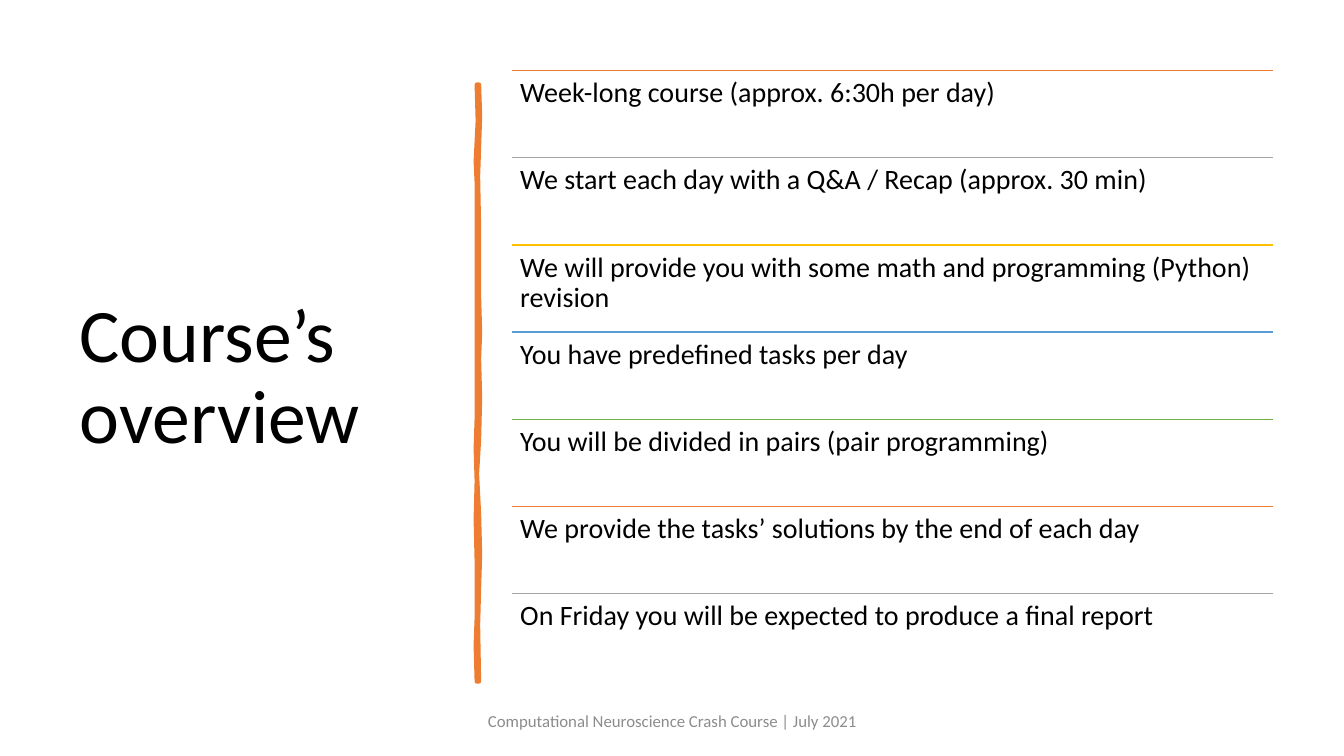
from dataclasses import dataclass

from lxml import etree
from pptx import Presentation
from pptx.dml.color import RGBColor
from pptx.enum.shapes import MSO_CONNECTOR
from pptx.enum.text import MSO_ANCHOR, PP_ALIGN
from pptx.oxml.ns import qn
from pptx.slide import Slide
from pptx.text.text import TextFrame
from pptx.util import Inches, Pt

STRAIGHT = MSO_CONNECTOR.STRAIGHT
MIDDLE, TOP = MSO_ANCHOR.MIDDLE, MSO_ANCHOR.TOP
LEFT, CENTER = PP_ALIGN.LEFT, PP_ALIGN.CENTER

COLORS = {
    "text": "000000",
    "footer": "8C8C8C",
    "orange": "ED7D31",
    "gray": "A5A5A5",
    "gold": "FFC000",
    "blue": "5B9BD5",
    "green": "70AD47",
}
FONT = "Calibri"
ROW_LEFT, ROW_TOP, ROW_WIDTH, ROW_HEIGHT = 5.08, 0.7, 7.55, 0.86
ROW_PITCH = 0.865
ROW_INSET = 0.08
STROKE_RIGHT = [
    (4.75, 0.84), (4.76, 1.15), (4.75, 1.46), (4.74, 1.75), (4.75, 2.26), (4.75, 2.94),
    (4.76, 3.3), (4.75, 3.56), (4.76, 3.95), (4.75, 4.36), (4.73, 4.7), (4.75, 5.1),
    (4.76, 5.5), (4.75, 5.84), (4.74, 6.2), (4.75, 6.76),
]
STROKE_LEFT = [
    (4.73, 6.76), (4.72, 6.4), (4.73, 6.13), (4.73, 5.57), (4.72, 5.15), (4.73, 4.77),
    (4.72, 4.45), (4.73, 4.15), (4.73, 3.35), (4.73, 2.5), (4.73, 2.15), (4.73, 1.81),
    (4.72, 1.6), (4.74, 1.2), (4.73, 0.84),
]


@dataclass(frozen=True)
class OverviewRow:
    """One statement of the overview and the colour of its rule."""

    statement: str
    color: str


ROWS = [
    OverviewRow("Week-long course (approx. 6:30h per day)", "orange"),
    OverviewRow("We start each day with a Q&A / Recap (approx. 30 min)", "gray"),
    OverviewRow("We will provide you with some math and programming (Python) revision", "gold"),
    OverviewRow("You have predefined tasks per day", "blue"),
    OverviewRow("You will be divided in pairs (pair programming)", "green"),
    OverviewRow("We provide the tasks’ solutions by the end of each day", "orange"),
    OverviewRow("On Friday you will be expected to produce a final report", "gray"),
]


def rgb(name: str) -> RGBColor:
    """Return the named colour."""
    return RGBColor.from_string(COLORS[name])


def write(frame: TextFrame, text: str, size: float, color: str = "text",
          anchor: MSO_ANCHOR = MIDDLE, align: PP_ALIGN = LEFT, spacing: float = 0.9) -> None:
    """Fill a text frame with one formatted paragraph."""
    frame.word_wrap = True
    frame.vertical_anchor = anchor
    paragraph = frame.paragraphs[0]
    paragraph.text = text
    paragraph.alignment = align
    paragraph.line_spacing = spacing
    paragraph.font.name = FONT
    paragraph.font.size = Pt(size)
    paragraph.font.color.rgb = rgb(color)


def add_title(slide: Slide) -> None:
    """Place and format the slide title."""
    title = slide.shapes.title
    title.left, title.top = Inches(0.69), Inches(0.7)
    title.width, title.height = Inches(3.74), Inches(6.11)
    write(title.text_frame, "Course’s overview", 54)


def add_brush_stroke(slide: Slide) -> None:
    """Draw the uneven vertical stroke beside the title."""
    start, *outline = [(Inches(x), Inches(y)) for x, y in STROKE_RIGHT + STROKE_LEFT]
    builder = slide.shapes.build_freeform(*start)
    builder.add_line_segments(outline, close=True)
    stroke = builder.convert_to_shape()
    stroke.shadow.inherit = False
    stroke.fill.solid()
    stroke.fill.fore_color.rgb = rgb("orange")
    stroke.line.color.rgb = rgb("orange")
    stroke.line.width = Pt(3.25)


def add_row(slide: Slide, row: OverviewRow, top: float) -> None:
    """Draw a coloured rule with its statement below."""
    rule = slide.shapes.add_connector(
        STRAIGHT, Inches(ROW_LEFT), Inches(top), Inches(ROW_LEFT + ROW_WIDTH), Inches(top))
    rule.line.color.rgb = rgb(row.color)
    rule.line.width = Pt(1)
    etree.SubElement(rule._element.spPr, qn("a:effectLst"))
    statement = slide.shapes.add_textbox(
        Inches(ROW_LEFT), Inches(top), Inches(ROW_WIDTH), Inches(ROW_HEIGHT))
    frame = statement.text_frame
    frame.margin_left = frame.margin_right = Inches(ROW_INSET)
    frame.margin_top = frame.margin_bottom = Inches(ROW_INSET)
    write(frame, row.statement, 20, anchor=TOP)


def add_footer(slide: Slide) -> None:
    """Add the centred course footer."""
    footer = slide.shapes.add_textbox(Inches(4.42), Inches(6.95), Inches(4.5), Inches(0.4))
    write(footer.text_frame, "Computational Neuroscience Crash Course | July 2021", 12,
          "footer", align=CENTER, spacing=1.0)


def main() -> None:
    """Build and save the course overview slide."""
    presentation = Presentation()
    presentation.slide_width, presentation.slide_height = Inches(13.33), Inches(7.5)
    slide = presentation.slides.add_slide(presentation.slide_layouts[5])
    add_title(slide)
    add_brush_stroke(slide)
    for index, row in enumerate(ROWS):
        add_row(slide, row, ROW_TOP + index * ROW_PITCH)
    add_footer(slide)
    presentation.save("out.pptx")


if __name__ == "__main__":
    main()
